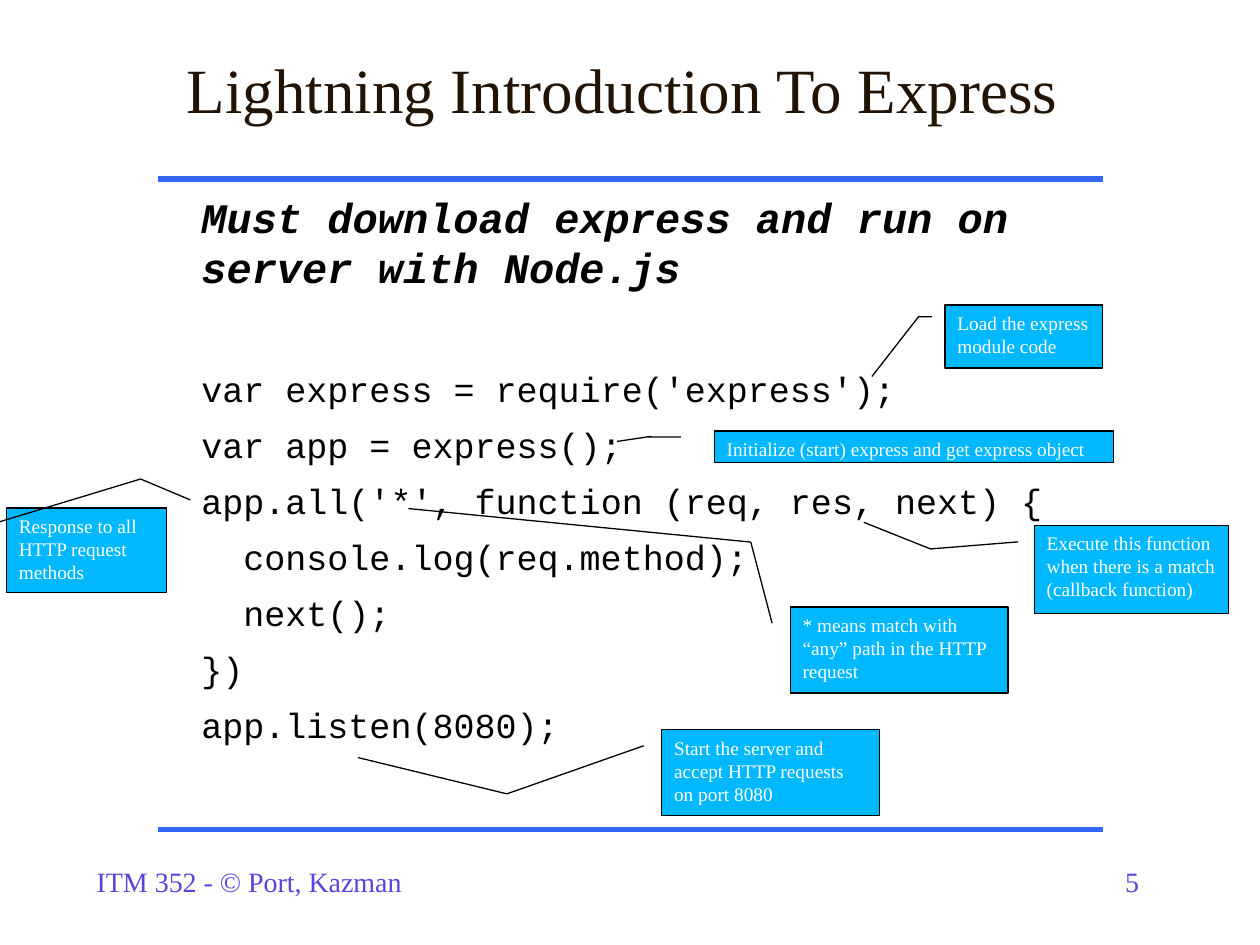
from pptx import Presentation
from pptx.dml.color import RGBColor
from pptx.enum.shapes import MSO_CONNECTOR, MSO_SHAPE
from pptx.enum.text import MSO_ANCHOR, PP_ALIGN
from pptx.oxml.ns import qn
from pptx.util import Cm, Pt
from lxml import etree

STRAIGHT = MSO_CONNECTOR.STRAIGHT
CALLOUT = MSO_SHAPE.LINE_CALLOUT_2
TOP, MIDDLE = MSO_ANCHOR.TOP, MSO_ANCHOR.MIDDLE
LEFT, CENTER = PP_ALIGN.LEFT, PP_ALIGN.CENTER

WHITE = RGBColor(0xFF, 0xFF, 0xFF)
BLACK = RGBColor(0x00, 0x00, 0x00)
BROWN = RGBColor(0x22, 0x13, 0x04)
RULE_BLUE = RGBColor(0x33, 0x66, 0xFF)
CALLOUT_BLUE = RGBColor(0x00, 0xB8, 0xFF)
VIOLET = RGBColor(0x57, 0x45, 0xDD)

SERIF = "Times New Roman"
MONO = "Courier New"
INDENT = Pt(24)

CODE_LINES = [
    (0, "var express = require('express');"),
    (0, "var app = express();"),
    (0, "app.all('*', function (req, res, next) {"),
    (1, "console.log(req.method);"),
    (1, "next();"),
    (0, "})"),
    (0, "app.listen(8080);"),
]

CALLOUTS = [
    ("Load the express module code",
     (19.05, 6.15, 3.18, 1.27), (0.185, -0.167, 1.134, -0.463)),
    ("Initialize (start) express and get express object",
     (14.4, 8.69, 8.05, 0.64), (0.185, -0.167, 0.329, -0.244)),
    ("* means match with “any” path in the HTTP request",
     (15.93, 12.24, 4.39, 1.73), (-0.758, -0.181, -1.149, -1.753)),
    ("Response to all HTTP request methods",
     (0.13, 10.24, 3.23, 1.7), (-0.343, 0.838, -0.095, 1.148)),
    ("Execute this function when there is a match (callback function)",
     (20.85, 10.59, 3.91, 1.78), (0.268, -0.535, -0.034, -0.879)),
    ("Start the server and accept HTTP requests on port 8080",
     (13.34, 14.71, 4.39, 1.73), (0.748, -0.711, 0.325, -1.395)),
]


def style(paragraph, face, size, color):
    font = paragraph.font
    font.name, font.size = face, Pt(size)
    font.color.rgb = color


def add_text(slide, box, text, face, size, color, align=LEFT, anchor=TOP):
    frame = slide.shapes.add_textbox(*map(Cm, box)).text_frame
    frame.word_wrap = True
    frame.vertical_anchor = anchor
    first = frame.paragraphs[0]
    first.text, first.alignment = text, align
    style(first, face, size, color)
    return frame


def add_rules(slide, box):
    left, top, width, height = box
    for y in (top, top + height):
        rule = slide.shapes.add_connector(
            STRAIGHT, Cm(left), Cm(y), Cm(left + width), Cm(y))
        rule.line.color.rgb = RULE_BLUE
        rule.line.width = Pt(3)
        etree.SubElement(rule._element.spPr, qn("a:effectLst"))


def add_footer(slide, box):
    left, top, width, height = box
    number_width = 1.27
    for text, x, part_width in (
            ("ITM 352 - © Port, Kazman", left, 10.6),
            ("5", left + width - number_width, number_width)):
        frame = add_text(slide, (x, top, part_width, height),
                         text, SERIF, 16, VIOLET)
        frame.paragraphs[0].line_spacing = 0.95
        frame.paragraphs[0].space_before = Pt(10)


def add_code(slide, box):
    frame = add_text(slide, box,
                     "Must download express and run on server with Node.js",
                     MONO, 24, BLACK)
    heading = frame.paragraphs[0]
    heading.space_before = Pt(8)
    heading.font.bold = heading.font.italic = True
    for index, (level, code) in enumerate(CODE_LINES):
        line = frame.add_paragraph()
        line.text = code
        line.space_before = Pt(8 if index else 43)
        line._p.get_or_add_pPr().set("marL", str(level * INDENT))
        style(line, MONO, 20, BLACK)


def add_callout(slide, box, text, bend_and_target):
    callout = slide.shapes.add_shape(CALLOUT, *map(Cm, box))
    for index, value in enumerate((0.188, -0.083, *bend_and_target)):
        callout.adjustments[index] = value
    callout.shadow.inherit = False
    callout.fill.solid()
    callout.fill.fore_color.rgb = CALLOUT_BLUE
    callout.line.color.rgb = BLACK
    callout.line.width = Pt(0.75)
    frame = callout.text_frame
    frame.word_wrap = True
    frame.vertical_anchor = TOP
    note = frame.paragraphs[0]
    note.text, note.alignment = text, LEFT
    style(note, SERIF, 11, WHITE)


def main():
    deck = Presentation()
    deck.slide_width, deck.slide_height = Cm(25.4), Cm(19.05)
    slide = deck.slides.add_slide(deck.slide_layouts[6])
    add_rules(slide, (3.18, 3.61, 19.05, 13.11))
    add_footer(slide, (1.7, 17.35, 22, 0.91))
    add_text(slide, (1.75, 0.2, 21.59, 3.18),
             "Lightning Introduction To Express",
             SERIF, 36, BROWN, CENTER, MIDDLE)
    add_code(slide, (3.81, 3.73, 19.48, 13))
    for text, box, bend_and_target in CALLOUTS:
        add_callout(slide, box, text, bend_and_target)
    deck.save("out.pptx")


if __name__ == "__main__":
    main()
